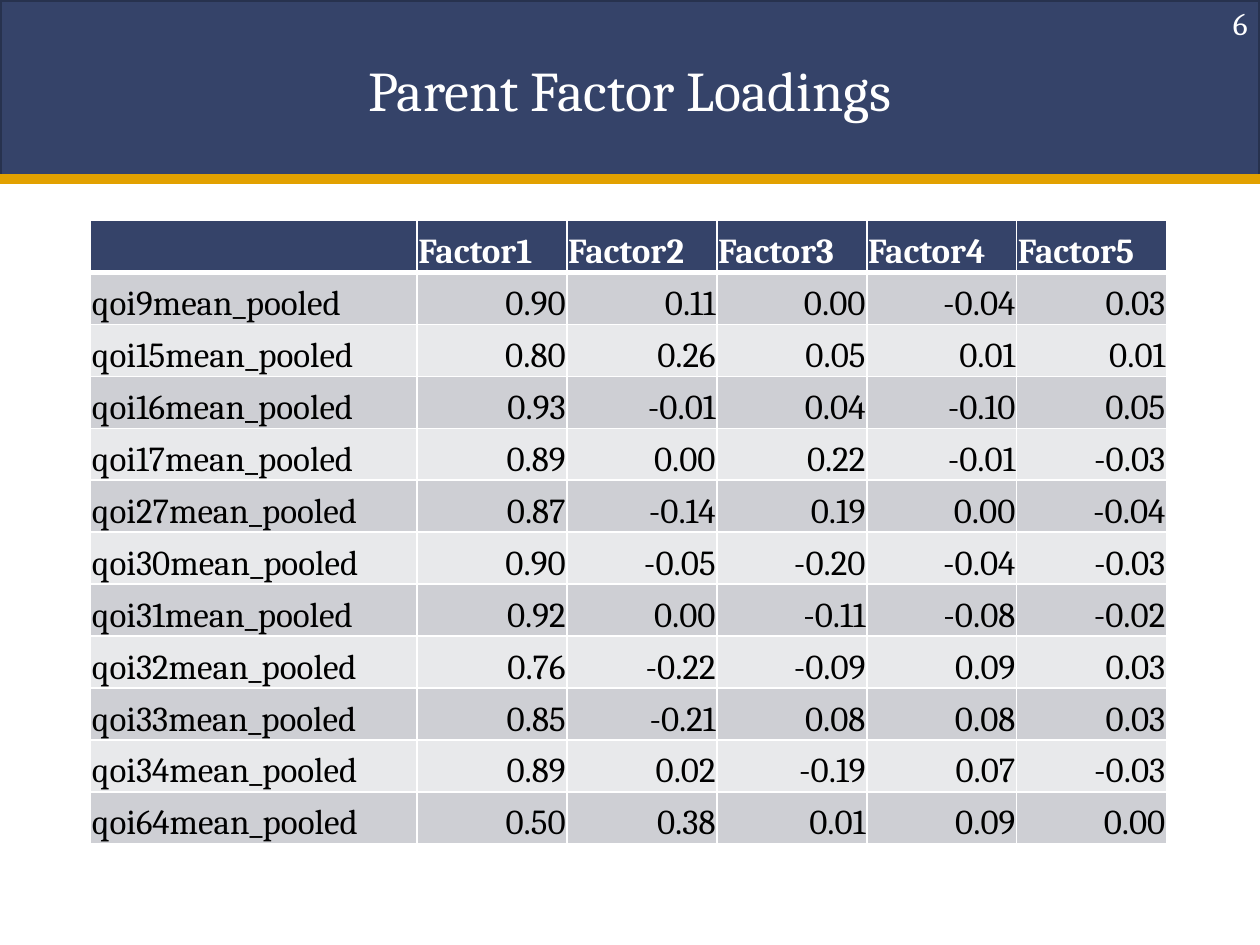
import pptx
import pptx.dml.color
import pptx.enum.shapes
import pptx.enum.text
import pptx.oxml.ns
import pptx.util
from lxml import etree

Inches = pptx.util.Inches
Pt = pptx.util.Pt
RGBColor = pptx.dml.color.RGBColor
Align = pptx.enum.text.PP_ALIGN
Anchor = pptx.enum.text.MSO_ANCHOR
qn = pptx.oxml.ns.qn

NAVY = RGBColor(0x35, 0x43, 0x69)
DARK_NAVY = RGBColor(0x27, 0x32, 0x4E)
GOLD = RGBColor(0xE2, 0xA1, 0x00)
WHITE = RGBColor(0xFF, 0xFF, 0xFF)
BLACK = RGBColor(0x00, 0x00, 0x00)
DARK_BAND = RGBColor(0xCE, 0xCF, 0xD4)
LIGHT_BAND = RGBColor(0xE8, 0xE9, 0xEB)
FONT = "Cambria"

HEADER = ["", "Factor1", "Factor2", "Factor3", "Factor4", "Factor5"]
LOADINGS = {
    "qoi9mean_pooled": (0.90, 0.11, 0.00, -0.04, 0.03),
    "qoi15mean_pooled": (0.80, 0.26, 0.05, 0.01, 0.01),
    "qoi16mean_pooled": (0.93, -0.01, 0.04, -0.10, 0.05),
    "qoi17mean_pooled": (0.89, 0.00, 0.22, -0.01, -0.03),
    "qoi27mean_pooled": (0.87, -0.14, 0.19, 0.00, -0.04),
    "qoi30mean_pooled": (0.90, -0.05, -0.20, -0.04, -0.03),
    "qoi31mean_pooled": (0.92, 0.00, -0.11, -0.08, -0.02),
    "qoi32mean_pooled": (0.76, -0.22, -0.09, 0.09, 0.03),
    "qoi33mean_pooled": (0.85, -0.21, 0.08, 0.08, 0.03),
    "qoi34mean_pooled": (0.89, 0.02, -0.19, 0.07, -0.03),
    "qoi64mean_pooled": (0.50, 0.38, 0.01, 0.09, 0.00),
}


def add_run(paragraph, text, size, color, bold=False):
    run = paragraph.add_run()
    run.text = text
    run.font.name = FONT
    run.font.size = Pt(size)
    run.font.bold = bold
    run.font.color.rgb = color


def add_text(slide, box, text, size, alignment):
    shape = slide.shapes.add_textbox(*map(Inches, box))
    frame = shape.text_frame
    frame.word_wrap = True
    frame.vertical_anchor = Anchor.MIDDLE
    paragraph = frame.paragraphs[0]
    paragraph.alignment = alignment
    add_run(paragraph, text, size, WHITE)
    return paragraph


def add_banner(slide):
    shape = slide.shapes.add_shape(
        pptx.enum.shapes.MSO_SHAPE.RECTANGLE, 0, 0, Inches(10), Inches(1.42))
    shape.shadow.inherit = False
    shape.fill.solid()
    shape.fill.fore_color.rgb = NAVY
    shape.line.color.rgb = DARK_NAVY
    shape.line.width = Pt(2)


def add_rule(slide):
    connector = slide.shapes.add_connector(
        pptx.enum.shapes.MSO_CONNECTOR.STRAIGHT,
        Inches(-0.02), Inches(1.42), Inches(10.03), Inches(1.42))
    connector.line.color.rgb = GOLD
    connector.line.width = Pt(6)
    etree.SubElement(connector._element.spPr, qn("a:effectLst"))


def set_borders(cell, top, bottom):
    properties = cell._tc.get_or_add_tcPr()
    for tag, width in (("lnL", 1), ("lnR", 1), ("lnT", top), ("lnB", bottom)):
        line = etree.SubElement(properties, qn("a:" + tag), w=str(Pt(width)))
        fill = etree.SubElement(line, qn("a:solidFill"))
        etree.SubElement(fill, qn("a:srgbClr"), val=str(WHITE))


def fill_cell(cell, text, row, column):
    is_header = row == 0
    set_borders(cell, 3 if row == 1 else 1, 3 if is_header else 1)
    cell.fill.solid()
    band = DARK_BAND if row % 2 else LIGHT_BAND
    cell.fill.fore_color.rgb = NAVY if is_header else band
    cell.margin_left = cell.margin_right = cell.margin_top = Inches(0.01)
    cell.margin_bottom = 0
    cell.vertical_anchor = Anchor.BOTTOM
    if text:
        paragraph = cell.text_frame.paragraphs[0]
        is_value = row > 0 and column > 0
        paragraph.alignment = Align.RIGHT if is_value else Align.LEFT
        add_run(paragraph, text, 20, WHITE if is_header else BLACK, is_header)


def add_loadings_table(slide):
    rows = [HEADER] + [
        [name] + [f"{value:.2f}" for value in values]
        for name, values in LOADINGS.items()]
    frame = slide.shapes.add_table(
        len(rows), len(HEADER),
        Inches(0.72), Inches(1.75), Inches(8.56), Inches(4.95))
    table = frame.table
    for index, column in enumerate(table.columns):
        column.width = Inches(1.19 if index else 2.59)
    for row, texts in enumerate(rows):
        for column, text in enumerate(texts):
            fill_cell(table.cell(row, column), text, row, column)


def main():
    presentation = pptx.Presentation()
    presentation.slide_width = Inches(10)
    presentation.slide_height = Inches(7.5)
    slide = presentation.slides.add_slide(presentation.slide_layouts[6])
    add_banner(slide)
    add_rule(slide)
    add_text(slide, (0.5, 0.08, 9, 1.25), "Parent Factor Loadings", 32, Align.CENTER)
    page_number = add_text(slide, (7.67, 0, 2.33, 0.4), "6", 18, Align.RIGHT)
    page_number.line_spacing = 0.9
    page_number.space_after = Pt(6)
    add_loadings_table(slide)
    presentation.save("out.pptx")


main()
